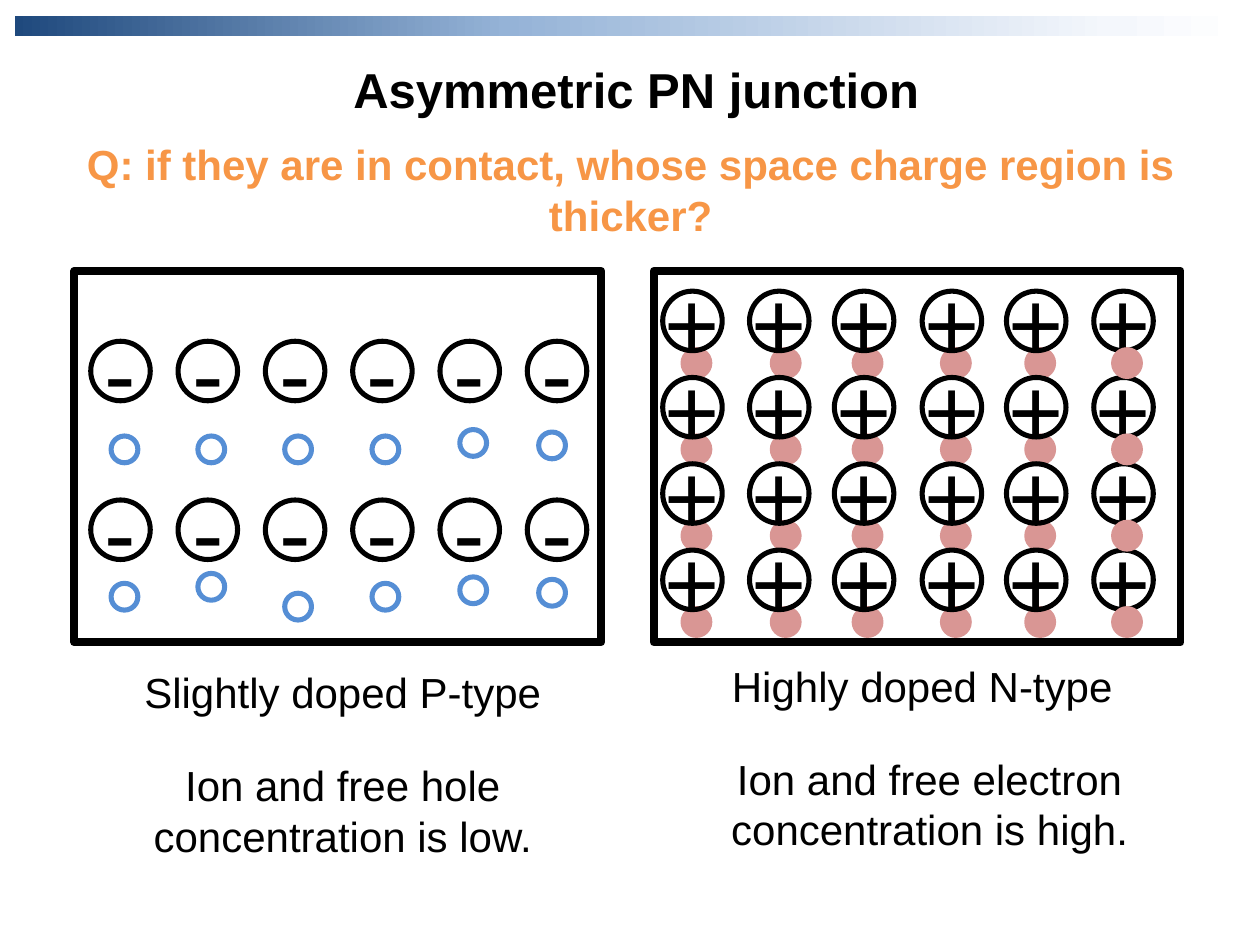
from lxml.etree import SubElement
from pptx import Presentation
from pptx.dml.color import RGBColor
from pptx.enum.shapes import MSO_SHAPE
from pptx.enum.text import MSO_ANCHOR, MSO_AUTO_SIZE, PP_ALIGN
from pptx.oxml.ns import qn
from pptx.util import Cm, Pt

COLORS = {
    "ink": "000000",
    "question": "F79646",
    "electron": "D99694",
    "hole": "558ED5",
    "paper": "FFFFFF",
}
BAR_STOPS = [(0, "1F497D"), (40, "95B3D7"), (89, "F4F7FC"), (100, "FFFFFF")]

ION_SIZE = 1.2
CARRIER_SIZE = 0.54
ROW_STEP = 1.74


class JunctionSlide:
    font = "Arial"
    outline = 2.88
    box_outline = 4.5

    def __init__(self, deck):
        self.slide = deck.slides.add_slide(deck.slide_layouts[5])

    def color(self, name):
        return RGBColor.from_string(COLORS[name])

    def set_words(self, shape, words, size, color="ink", bold=False, wrap=True):
        frame = shape.text_frame
        frame.text = words
        frame.word_wrap = wrap
        frame.auto_size = MSO_AUTO_SIZE.NONE
        paragraph = frame.paragraphs[0]
        paragraph.alignment = PP_ALIGN.CENTER
        for run in paragraph.runs:
            run.font.name = self.font
            run.font.size = Pt(size)
            run.font.bold = bold
            run.font.color.rgb = self.color(color)

    def title(self, words, left, top, width, height):
        heading = self.slide.shapes.title
        heading.left, heading.top = Cm(left), Cm(top)
        heading.width, heading.height = Cm(width), Cm(height)
        self.set_words(heading, words, 28, bold=True)
        heading.text_frame.vertical_anchor = MSO_ANCHOR.TOP

    def text(self, words, left, top, width, height, **style):
        caption = self.slide.shapes.add_textbox(Cm(left), Cm(top), Cm(width), Cm(height))
        self.set_words(caption, words, 24, **style)

    def shape(self, kind, left, top, width, height, line=None, fill=None, weight=outline):
        figure = self.slide.shapes.add_shape(kind, Cm(left), Cm(top), Cm(width), Cm(height))
        figure.shadow.inherit = False
        if fill:
            figure.fill.solid()
            figure.fill.fore_color.rgb = self.color(fill)
        else:
            figure.fill.background()
        if line:
            figure.line.color.rgb = self.color(line)
            figure.line.width = Pt(weight)
        else:
            figure.line.fill.background()
        return figure

    def gradient_bar(self, left, top, width, height):
        bar = self.shape(MSO_SHAPE.RECTANGLE, left, top, width, height)
        bar.fill.gradient()
        bar.fill.gradient_angle = 0
        stops = bar._element.spPr.find(qn("a:gradFill")).find(qn("a:gsLst"))
        for stop in list(stops):
            stops.remove(stop)
        for percent, shade in BAR_STOPS:
            stop = SubElement(stops, qn("a:gs"), pos=str(percent * 1000))
            SubElement(stop, qn("a:srgbClr"), val=shade)

    def crystal(self, left):
        """Frame of one doped half of the junction."""
        self.shape(MSO_SHAPE.RECTANGLE, left, 5.46, 10.62, 7.49, "ink",
                   weight=self.box_outline)

    def ion(self, sign, left, top):
        ion = self.shape(MSO_SHAPE.OVAL, left, top, ION_SIZE, ION_SIZE, "ink")
        self.set_words(ion, sign, 54, wrap=False)
        ion.text_frame.vertical_anchor = MSO_ANCHOR.MIDDLE

    def carrier(self, left, top, line, fill):
        self.shape(MSO_SHAPE.OVAL, left, top, CARRIER_SIZE, CARRIER_SIZE, line, fill)

    def electron_column(self, left):
        for row in range(4):
            self.carrier(left, 7.05 + row * ROW_STEP, "electron", "electron")


def draw_p_type(page):
    page.crystal(1.5)
    for top in (6.88, 10.08):
        for column in range(6):
            page.ion("-", 1.83 + column * 1.76, top)

    hole_lefts = [2.24, 3.99, 5.74, 7.5, 9.27, 10.86]
    upper_tops = [8.79, 8.79, 8.79, 8.79, 8.66, 8.71]
    lower_tops = [11.76, 11.56, 11.96, 11.76, 11.63, 11.68]
    for left, *tops in zip(hole_lefts, upper_tops, lower_tops):
        for top in tops:
            page.carrier(left, top, "hole", "paper")

    page.text("Slightly doped P-type", 2.11, 13.31, 9.6, 1.27)
    page.text("Ion and free hole concentration is low.", 2.11, 15.19, 9.6, 2.31)


def draw_n_type(page):
    page.crystal(13.18)
    *back_lefts, front_left = [13.77, 15.57, 17.22, 19.0, 20.7, 22.45]
    for left in back_lefts:
        page.electron_column(left)
    for left in (13.36, 15.11, 16.82, 18.59, 20.29, 22.05):
        for row in range(4):
            page.ion("+", left, 5.87 + row * ROW_STEP)
    page.electron_column(front_left)

    page.text("Highly doped N-type", 13.79, 13.2, 9.6, 1.27)
    page.text("Ion and free electron concentration is high.", 13.94, 15.06, 9.6, 2.31)


def main():
    deck = Presentation()
    deck.slide_width, deck.slide_height = Cm(25.4), Cm(19.05)
    page = JunctionSlide(deck)
    page.gradient_bar(0.3, 0.33, 24.8, 0.4)
    page.title("Asymmetric PN junction", 5.89, 1.07, 13.87, 1.45)
    page.text("Q: if they are in contact, whose space charge region is thicker?",
              0.89, 2.67, 23.65, 2.31, color="question", bold=True)
    draw_p_type(page)
    draw_n_type(page)
    deck.save("out.pptx")


if __name__ == "__main__":
    main()
